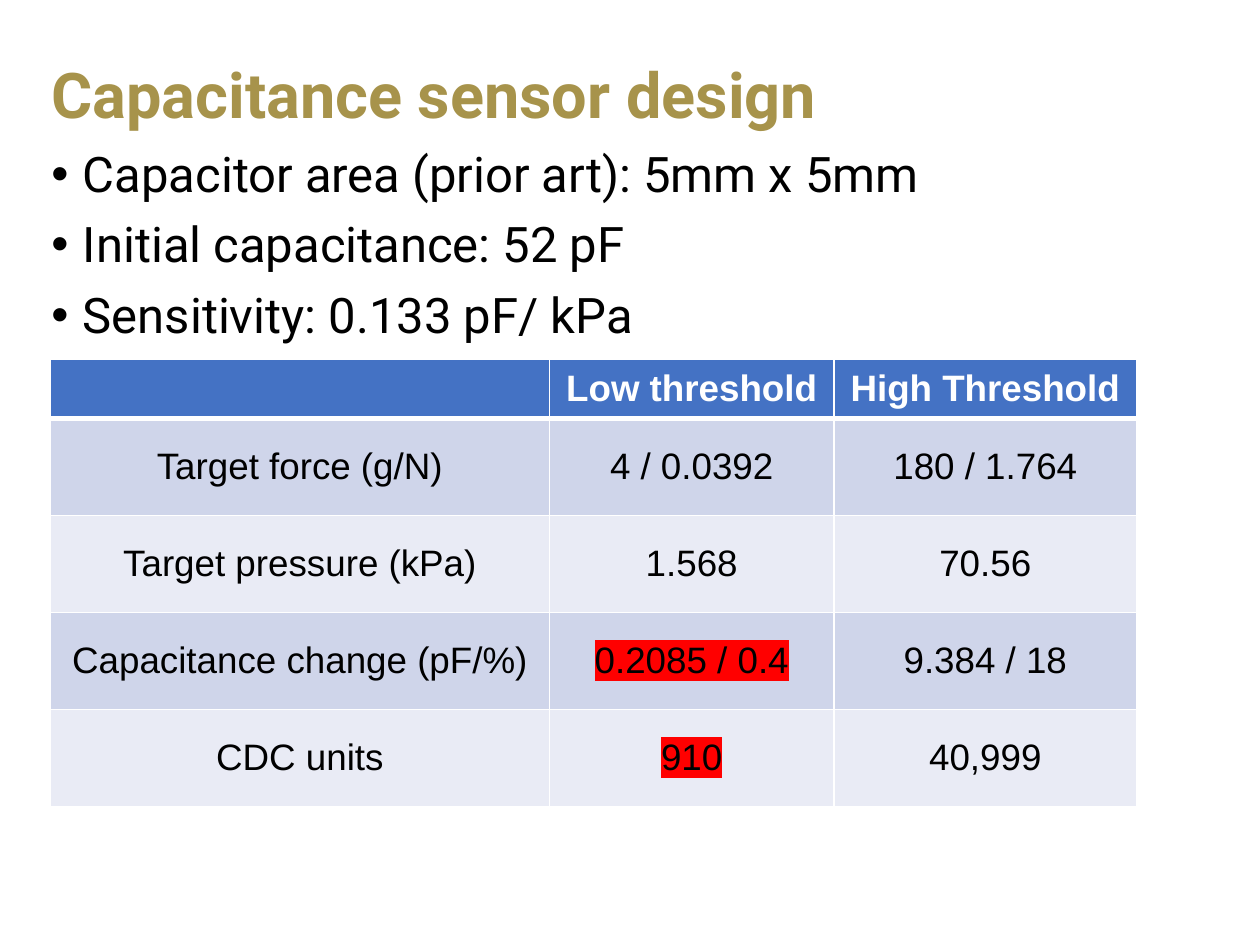
from dataclasses import dataclass

import lxml.etree
import pptx
import pptx.dml.color
import pptx.enum.text
import pptx.oxml.ns
import pptx.util

Inches = pptx.util.Inches
Align = pptx.enum.text.PP_ALIGN
Anchor = pptx.enum.text.MSO_ANCHOR
qn = pptx.oxml.ns.qn


@dataclass(frozen=True)
class Theme:
    heading_font: str = "Roboto"
    table_font: str = "Arial"
    title_size: int = 36
    bullet_size: int = 28
    table_size: int = 21
    gold: str = "A7934B"
    black: str = "000000"
    white: str = "FFFFFF"
    header: str = "4472C4"
    bands: tuple[str, str] = ("CFD5EA", "E9EBF5")
    alert: str = "FF0000"


@dataclass(frozen=True)
class Measure:
    label: str
    low: str
    high: str
    low_alert: bool = False


THEME = Theme()
BULLETS = (
    "Capacitor area (prior art): 5mm x 5mm",
    "Initial capacitance: 52 pF",
    "Sensitivity: 0.133 pF/ kPa",
)
HEADINGS = Measure("", "Low threshold", "High Threshold")
MEASURES = (
    Measure("Target force (g/N)", "4 / 0.0392", "180 / 1.764"),
    Measure("Target pressure (kPa)", "1.568", "70.56"),
    Measure("Capacitance change (pF/%)", "0.2085 / 0.4", "9.384 / 18", low_alert=True),
    Measure("CDC units", "910", "40,999", low_alert=True),
)
COLUMN_WIDTHS = (3.96, 2.26, 2.4)
HEADER_HEIGHT, ROW_HEIGHT = 0.47, 0.77


def rgb(color: str) -> pptx.dml.color.RGBColor:
    return pptx.dml.color.RGBColor.from_string(color)


def add_bullet(para) -> None:
    properties = para._p.get_or_add_pPr()
    properties.set("marL", str(Inches(0.25)))
    properties.set("indent", str(Inches(-0.25)))
    lxml.etree.SubElement(properties, qn("a:buFont"), typeface="Arial")
    lxml.etree.SubElement(properties, qn("a:buChar"), char="•")


def write_text(para, text: str, *, font: str, size: int, color: str, bold: bool = False,
               align=Align.LEFT, line_spacing: float = 1.0, space_before: int = 0,
               bullet: bool = False, highlight: str | None = None) -> None:
    para.alignment = align
    para.line_spacing = line_spacing
    para.space_before = pptx.util.Pt(space_before)
    if bullet:
        add_bullet(para)
    if not text:
        para.font.size = pptx.util.Pt(size)
        return
    span = para.add_run()
    span.text = text
    span.font.name = font
    span.font.size = pptx.util.Pt(size)
    span.font.bold = bold
    span.font.color.rgb = rgb(color)
    if highlight:
        fill = span._r.get_or_add_rPr().find(qn("a:solidFill"))
        mark = lxml.etree.Element(qn("a:highlight"))
        lxml.etree.SubElement(mark, qn("a:srgbClr"), val=highlight)
        fill.addnext(mark)


def add_box(page, left: float, top: float, width: float, height: float, anchor):
    box = page.shapes.add_textbox(Inches(left), Inches(top), Inches(width), Inches(height))
    box.text_frame.word_wrap = True
    box.text_frame.vertical_anchor = anchor
    return box.text_frame


def set_borders(cell, color: str, top: int = 1, bottom: int = 1) -> None:
    properties = cell._tc.get_or_add_tcPr()
    widths = {"a:lnL": 1, "a:lnR": 1, "a:lnT": top, "a:lnB": bottom}
    for position, (tag, width) in enumerate(widths.items()):
        line = lxml.etree.Element(qn(tag), w=str(pptx.util.Pt(width)))
        fill = lxml.etree.SubElement(line, qn("a:solidFill"))
        lxml.etree.SubElement(fill, qn("a:srgbClr"), val=color)
        properties.insert(position, line)


def fill_row(table, index: int, measure: Measure) -> None:
    is_header = index == 0
    for column, text in enumerate((measure.label, measure.low, measure.high)):
        cell = table.cell(index, column)
        cell.vertical_anchor = Anchor.MIDDLE
        cell.margin_left = cell.margin_right = Inches(0.12)
        cell.margin_top = cell.margin_bottom = Inches(0.06)
        cell.fill.solid()
        cell.fill.fore_color.rgb = rgb(THEME.header if is_header else THEME.bands[(index - 1) % 2])
        # A thick rule separates the header from the first measure
        set_borders(cell, THEME.white, top=3 if index == 1 else 1, bottom=3 if is_header else 1)
        write_text(cell.text_frame.paragraphs[0], text, font=THEME.table_font,
                   size=THEME.table_size, color=THEME.white if is_header else THEME.black,
                   bold=is_header, align=Align.CENTER,
                   highlight=THEME.alert if measure.low_alert and column == 1 else None)


def add_threshold_table(page) -> None:
    rows = (HEADINGS, *MEASURES)
    heights = (HEADER_HEIGHT, *[ROW_HEIGHT] * len(MEASURES))
    table = page.shapes.add_table(len(rows), len(COLUMN_WIDTHS), Inches(0.4), Inches(2.85),
                                  Inches(sum(COLUMN_WIDTHS)), Inches(sum(heights))).table
    for column, width in zip(table.columns, COLUMN_WIDTHS):
        column.width = Inches(width)
    for index, (measure, height) in enumerate(zip(rows, heights)):
        table.rows[index].height = Inches(height)
        fill_row(table, index, measure)


def main() -> None:
    deck = pptx.Presentation()
    deck.slide_width, deck.slide_height = Inches(10), Inches(7.5)
    page = deck.slides.add_slide(deck.slide_layouts[6])

    # Title
    title = add_box(page, 0.31, 0.22, 9.38, 1.11, Anchor.MIDDLE)
    write_text(title.paragraphs[0], "Capacitance sensor design", font=THEME.heading_font,
               size=THEME.title_size, color=THEME.gold, bold=True, line_spacing=0.9)

    # Sensor parameters
    body = add_box(page, 0.31, 1.14, 9.38, 1.82, Anchor.TOP)
    for index, text in enumerate(BULLETS):
        para = body.add_paragraph() if index else body.paragraphs[0]
        write_text(para, text, font=THEME.heading_font, size=THEME.bullet_size,
                   color=THEME.black, line_spacing=0.9, space_before=10 if index else 0,
                   bullet=True)

    # Threshold table
    add_threshold_table(page)

    deck.save("out.pptx")


if __name__ == "__main__":
    main()
